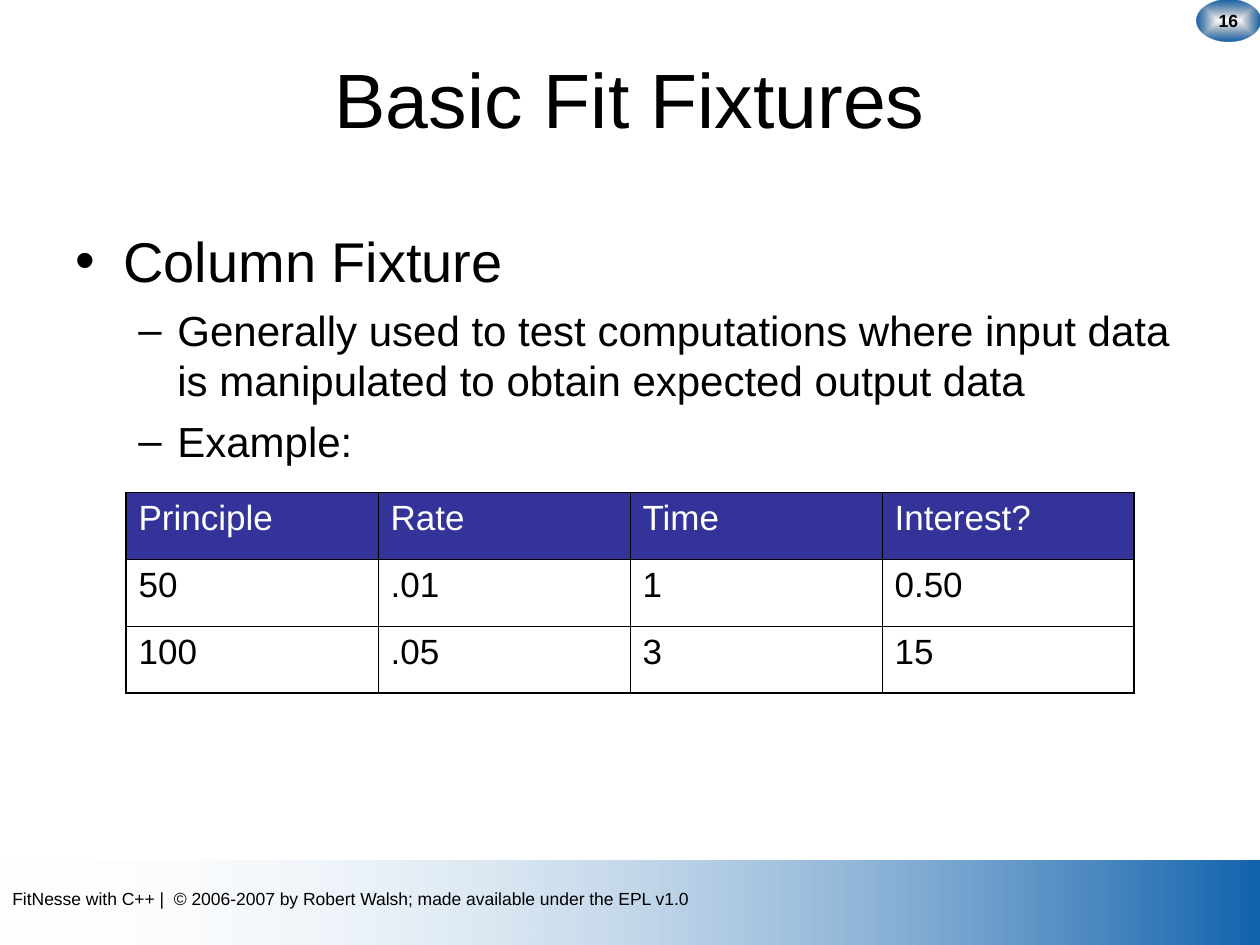
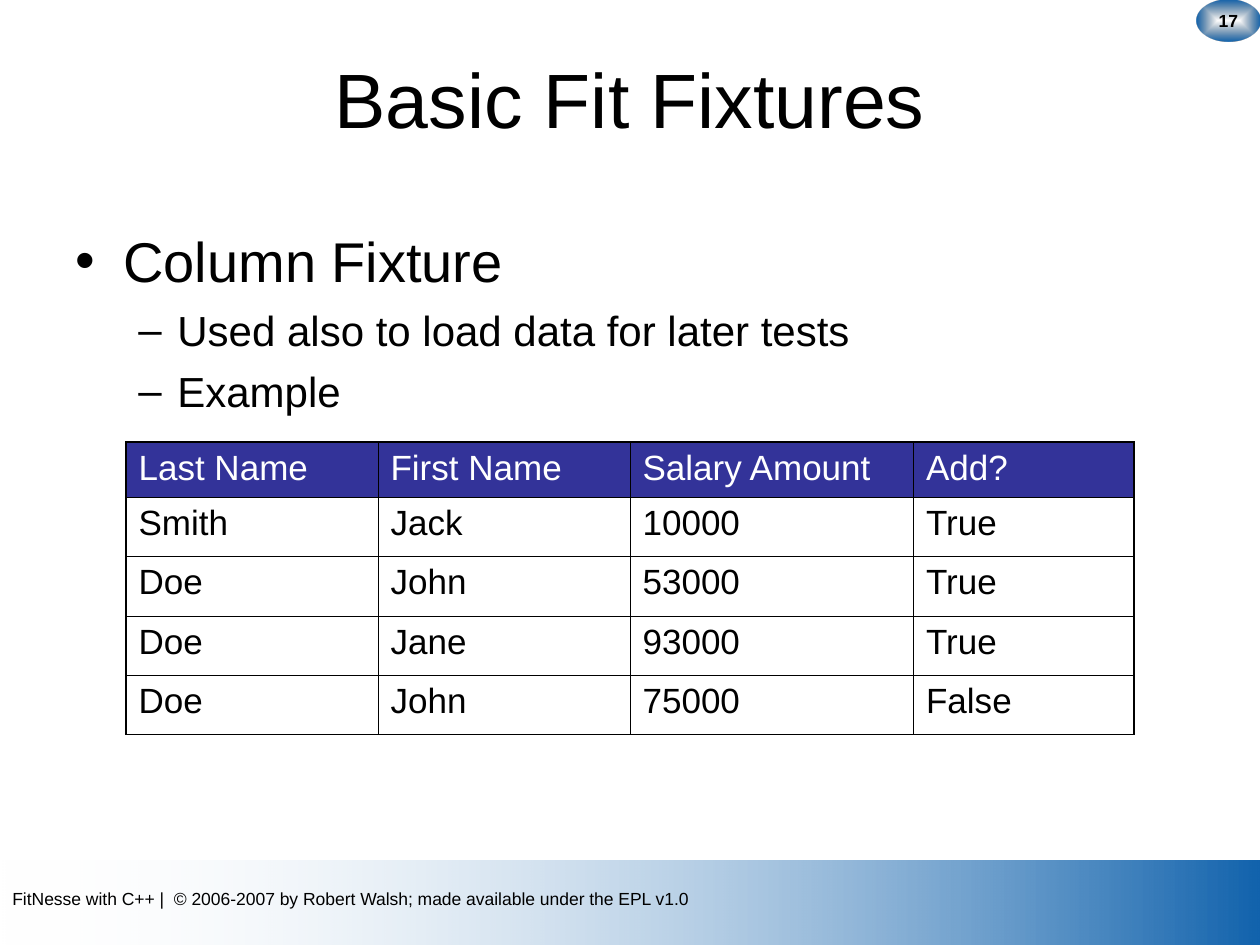
from lxml import etree
from pptx import Presentation
from pptx import util as u
from pptx.dml.color import RGBColor
from pptx.enum import shapes, text
from pptx.oxml import parse_xml
from pptx.oxml.ns import nsdecls, qn

BLACK, WHITE, NAVY, BLUE = "000000", "FFFFFF", "333399", "1263AD"
FOOT = "FitNesse with C++ |  © 2006-2007 by Robert Walsh; made available under the EPL v1.0"
THIN, THICK = 0.45, 1.08
BAND = (
    f'<a:gs pos="0"><a:srgbClr val="{BLUE}"/></a:gs>'
    '<a:gs pos="100000"><a:srgbClr val="FEFEFE"><a:alpha val="0"/></a:srgbClr></a:gs>',
    '<a:lin ang="10800000" scaled="0"/>',
)
BADGE = (
    '<a:gs pos="0"><a:srgbClr val="082D4F"><a:alpha val="0"/></a:srgbClr></a:gs>'
    f'<a:gs pos="100000"><a:srgbClr val="{BLUE}"/></a:gs>',
    '<a:path path="rect"><a:fillToRect l="50000" t="50000" r="50000" b="50000"/></a:path>',
)
LEVELS = [("•", 0.38, -0.38, 32, 0), ("–", 0.81, -0.31, 24, 6)]

pages = [
    dict(
        num="16",
        points=[
            (0, "Column Fixture"),
            (1, "Generally used to test computations where input data "
                "is manipulated to obtain expected output data"),
            (1, "Example:"),
        ],
        top=3.91, cols=[2, 2, 2, 2], rows=[0.53] * 3,
        data=[
            ["Principle", "Rate", "Time", "Interest?"],
            ["50", ".01", "1", "0.50"],
            ["100", ".05", "3", "15"],
        ],
    ),
    dict(
        num="17",
        points=[
            (0, "Column Fixture"),
            (1, "Used also to load data for later tests"),
            (1, "Example"),
        ],
        top=3.51, cols=[2, 2, 2.25, 1.75], rows=[0.44] + [0.47] * 4,
        data=[
            ["Last Name", "First Name", "Salary Amount", "Add?"],
            ["Smith", "Jack", "10000", "True"],
            ["Doe", "John", "53000", "True"],
            ["Doe", "Jane", "93000", "True"],
            ["Doe", "John", "75000", "False"],
        ],
    ),
]


def tint(code):
    return RGBColor.from_string(code)


def write(para, words, size, color=BLACK, bold=False):
    para.text = words
    font = para.font
    font.name, font.size, font.bold = "Arial", u.Pt(size), bold
    font.color.rgb = tint(color)


deck = Presentation()
deck.slide_width, deck.slide_height = u.Inches(10), u.Inches(7.5)

for page in pages:
    slide = deck.slides.add_slide(deck.slide_layouts[6])
    draw = slide.shapes

    band = draw.add_shape(shapes.MSO_SHAPE.RECTANGLE, 0, u.Inches(6.83), u.Inches(10), u.Inches(0.67))
    foot = draw.add_textbox(0, u.Inches(7), u.Inches(9), u.Inches(0.27)).text_frame
    foot.word_wrap = True
    foot.auto_size = text.MSO_AUTO_SIZE.SHAPE_TO_FIT_TEXT
    write(foot.paragraphs[0], FOOT, 10)

    badge = draw.add_shape(shapes.MSO_SHAPE.OVAL, u.Inches(9.5), 0, u.Inches(0.5), u.Inches(0.33))
    badge.text_frame.word_wrap = False
    badge.text_frame.vertical_anchor = text.MSO_ANCHOR.MIDDLE
    write(badge.text_frame.paragraphs[0], page["num"], 10, bold=True)
    badge.text_frame.paragraphs[0].alignment = text.PP_ALIGN.CENTER

    for shape, (stops, way) in [(band, BAND), (badge, BADGE)]:
        shape.shadow.inherit = False
        shape.line.fill.background()
        shape.fill.background()
        props = shape.element.spPr
        grad = parse_xml(f'<a:gradFill {nsdecls("a")} rotWithShape="1"><a:gsLst>{stops}</a:gsLst>{way}</a:gradFill>')
        props.replace(props.find(qn("a:noFill")), grad)

    title = draw.add_textbox(u.Inches(0.5), u.Inches(0.3), u.Inches(9), u.Inches(0.95)).text_frame
    title.word_wrap = True
    title.vertical_anchor = text.MSO_ANCHOR.MIDDLE
    write(title.paragraphs[0], "Basic Fit Fixtures", 44)
    title.paragraphs[0].alignment = text.PP_ALIGN.CENTER

    body = draw.add_textbox(u.Inches(0.5), u.Inches(1.75), u.Inches(9), u.Inches(4.75)).text_frame
    body.word_wrap = True
    for i, (level, words) in enumerate(page["points"]):
        para = body.add_paragraph() if i else body.paragraphs[0]
        mark, left, hang, size, gap = LEVELS[level]
        para.level = level
        para.space_before = u.Pt(gap)
        props = para._p.get_or_add_pPr()
        props.set("marL", str(u.Inches(left)))
        props.set("indent", str(u.Inches(hang)))
        etree.SubElement(props, qn("a:buFont"), typeface="Arial")
        etree.SubElement(props, qn("a:buChar"), char=mark)
        write(para, words, size)

    data, cols, rows = page["data"], page["cols"], page["rows"]
    table = draw.add_table(
        len(rows), len(cols), u.Inches(1), u.Inches(page["top"]), u.Inches(sum(cols)), u.Inches(sum(rows))
    ).table
    table.first_row = table.horz_banding = False
    for col, width in zip(table.columns, cols):
        col.width = u.Inches(width)
    for row, height in zip(table.rows, rows):
        row.height = u.Inches(height)
    for r, line in enumerate(data):
        for c, words in enumerate(line):
            cell = table.cell(r, c)
            write(cell.text_frame.paragraphs[0], words, 20, BLACK if r else WHITE)
            props = cell._tc.get_or_add_tcPr()
            edges = [("L", c == 0), ("R", c == len(cols) - 1), ("T", r == 0), ("B", r == len(rows) - 1)]
            for side, outer in edges:
                width = u.Pt(THICK if outer else THIN)
                props.append(parse_xml(
                    f'<a:ln{side} {nsdecls("a")} w="{width}"><a:solidFill>'
                    f'<a:srgbClr val="{BLACK}"/></a:solidFill></a:ln{side}>'
                ))
            if r:
                cell.fill.background()
            else:
                cell.fill.solid()
                cell.fill.fore_color.rgb = tint(NAVY)

deck.save("out.pptx")
